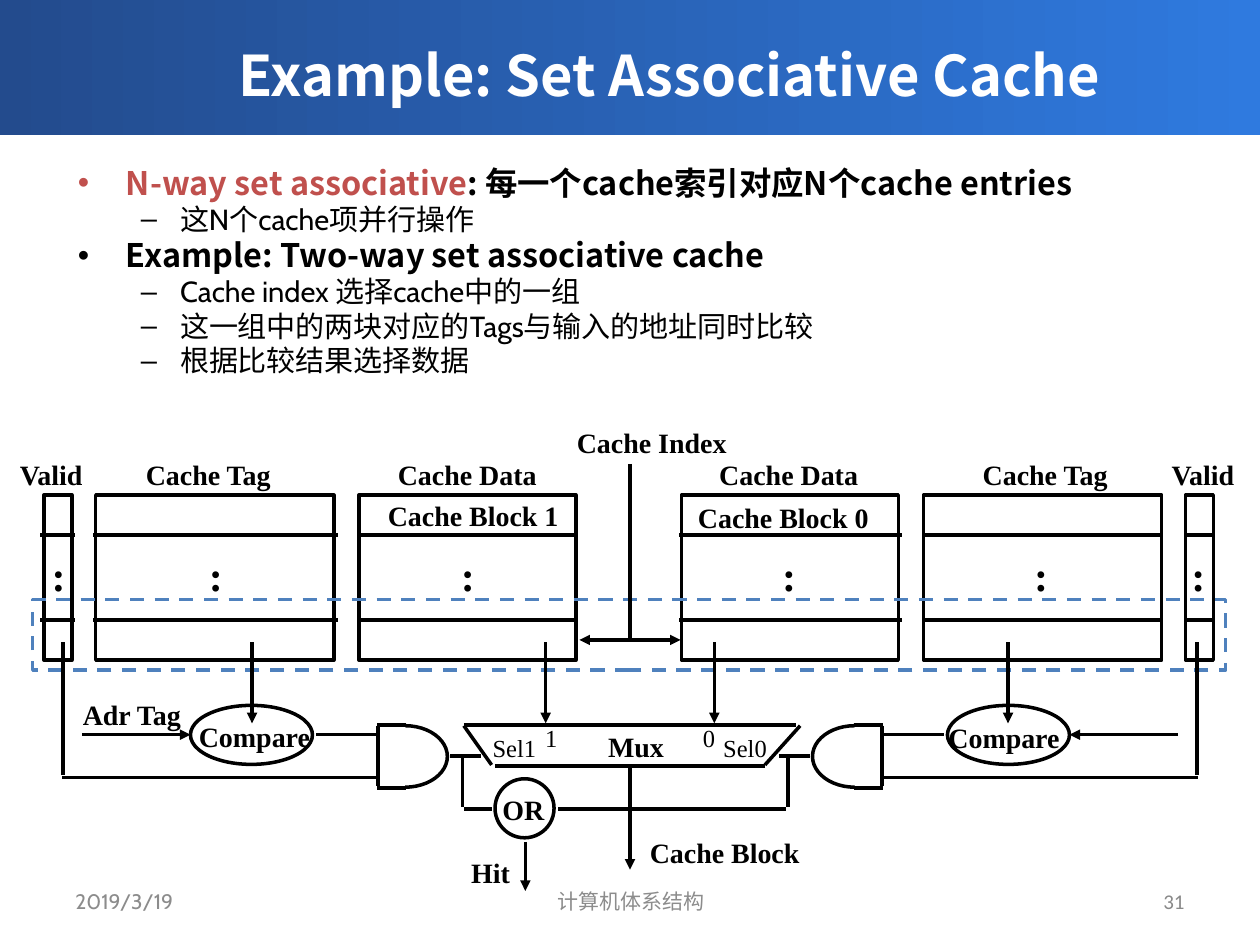
from lxml.etree import SubElement
from pptx import Presentation
from pptx.dml.color import RGBColor
from pptx.enum.dml import MSO_LINE
from pptx.enum.shapes import MSO_CONNECTOR, MSO_SHAPE
from pptx.enum.text import MSO_ANCHOR, MSO_AUTO_SIZE, PP_ALIGN
from pptx.oxml.ns import qn
from pptx.util import Cm, Pt

BLACK = "000000"
SERIF = "Times New Roman"
SANS = "Noto Sans CJK SC"
PAGE_WIDTH = 10
ROW_TOP, ROW_HEIGHT = 3.93, 1.31
ROW_RULES = (4.25, 4.92)

BANKS = [
    ("Valid", 0.06, 0.7, 0.35, 0.22, 0.32, 0.6, 0.31),
    ("Cache Tag", 1.06, 1.2, 0.76, 1.89, 0.74, 2.68, 1.56),
    ("Cache Data", 3.06, 1.31, 2.85, 1.72, 2.85, 4.57, 3.56),
    ("Cache Data", 5.61, 1.31, 5.41, 1.72, 5.39, 7.16, 6.11),
    ("Cache Tag", 7.7, 1.2, 7.33, 1.89, 7.33, 9.22, 8.11),
    ("Valid", 9.2, 0.7, 9.41, 0.22, 9.41, 9.64, 9.36),
]
CAPTIONS = [
    ("Cache Block 1", 2.98, 3.91, 1.57),
    ("Cache Block 0", 5.44, 3.92, 1.57),
    ("Cache Index", 4.48, 3.33, 1.4),
    ("Mux", 4.73, 5.74, 0.65),
    ("Cache Block", 5.06, 6.58, 1.4),
    ("Compare", 1.48, 5.66, 1.09),
    ("Compare", 7.43, 5.67, 1.09),
    ("Adr Tag", 0.56, 5.49, 0.99),
    ("OR", 3.89, 6.24, 0.54),
    ("Hit", 3.64, 6.74, 0.51),
]
PORTS = [("0", 5.48, 5.69, 0.3), ("1", 4.23, 5.69, 0.3),
         ("Sel1", 3.81, 5.77, 0.55), ("Sel0", 5.64, 5.77, 0.55)]
SIDE_WIRES = [
    (3.22, 5.75, 2.99, 5.75), (3, 5.76, 3, 6.24), (3.22, 6.25, 2.99, 6.25),
    (3.57, 6, 3.82, 6), (3, 5.83, 2.51, 5.83), (3, 6.17, 0.49, 6.17),
    (0.5, 5.1, 0.5, 6.15),
]
SIDE_ARROWS = [(2, 5.1, 2, 5.74), (4.33, 5.1, 4.33, 5.74),
               (0.65, 5.83, 1.51, 5.83)]
CENTRE_WIRES = [
    (5, 3.68, 5, 5.07), (3.68, 5.75, 6.32, 5.75), (3.68, 5.76, 3.9, 6.07),
    (3.93, 6.08, 6.07, 6.08), (6.35, 5.76, 6.07, 6.07),
    (3.67, 6.01, 3.67, 6.4), (3.68, 6.42, 3.9, 6.42),
    (6.25, 6.01, 6.25, 6.4), (4.43, 6.42, 6.24, 6.42),
]
CENTRE_ARROWS = [(5, 6.1, 5, 6.9), (4.17, 6.68, 4.17, 7.07)]
BULLETS = [
    (0, [("N-way set associative", "C0504D"),
         (": 每一个cache索引对应N个cache entries", BLACK)]),
    (1, [("这N个cache项并行操作", BLACK)]),
    (0, [("Example: Two-way set associative cache", BLACK)]),
    (1, [("Cache index 选择cache中的一组", BLACK)]),
    (1, [("这一组中的两块对应的Tags与输入的地址同时比较", BLACK)]),
    (1, [("根据比较结果选择数据", BLACK)]),
]
LEVELS = [("•", 0.38, 0.38, 18.5, SANS, True, 3),
          ("–", 0.81, 0.31, 16.6, "Cabin", False, 2.7)]


def color(value):
    return RGBColor.from_string(value)


def length(inches):
    return Cm(round(inches * 2.54, 2))


def lengths(*values):
    return [length(value) for value in values]


def add_span(para, text, size, font, tint=BLACK, bold=False):
    span = para.add_run()
    span.text = text
    span.font.size = Pt(size)
    span.font.name = font
    span.font.bold = bold
    span.font.color.rgb = color(tint)
    east_asian = SubElement(span.font._element, qn("a:ea"))
    east_asian.set("typeface", SANS)


def add_label(page, text, left, top, width, height=0.37, size=16, bold=True):
    box = page.shapes.add_textbox(*lengths(left, top, width, height))
    box.text_frame.word_wrap = False
    box.text_frame.auto_size = MSO_AUTO_SIZE.SHAPE_TO_FIT_TEXT
    add_span(box.text_frame.paragraphs[0], text, size, SERIF, bold=bold)


def add_outline(page, kind, left, top, width, height, tint=BLACK):
    shape = page.shapes.add_shape(kind, *lengths(left, top, width, height))
    shape.shadow.inherit = False
    shape.fill.background()
    shape.line.color.rgb = color(tint)
    shape.line.width = Pt(2)
    return shape


def add_wire(page, ends, heads=()):
    wire = page.shapes.add_connector(MSO_CONNECTOR.STRAIGHT, *lengths(*ends))
    wire.line.color.rgb = color(BLACK)
    wire.line.width = Pt(2)
    for head in heads:
        SubElement(wire.line._get_or_add_ln(), qn(head)).set("type", "triangle")
    SubElement(wire.element.spPr, qn("a:effectLst"))


def add_title(page):
    title = page.shapes.title
    title.left, title.top, title.width, title.height = lengths(1.13, 0.16, 8.37, 0.86)
    title.text_frame.vertical_anchor = MSO_ANCHOR.MIDDLE
    para = title.text_frame.paragraphs[0]
    para.alignment = PP_ALIGN.CENTER
    add_span(para, "Example: Set Associative Cache", 32, SANS, "FFFFFF", True)
    banner = page.shapes.add_shape(MSO_SHAPE.RECTANGLE, *lengths(0, 0, PAGE_WIDTH, 1.07))
    banner.shadow.inherit = False
    banner.line.fill.background()
    banner.fill.gradient()
    banner.fill.gradient_angle = 0
    for stop, tint in zip(banner.fill.gradient_stops, ("234B8D", "2F7ADF")):
        stop.color.rgb = color(tint)
    title.element.addprevious(banner.element)


def add_bullets(page):
    box = page.shapes.add_textbox(*lengths(0.52, 1.29, 9, 2.03))
    frame = box.text_frame
    frame.word_wrap = True
    for index, (level, spans) in enumerate(BULLETS):
        mark, margin, hang, size, font, bold, gap = LEVELS[level]
        para = frame.add_paragraph() if index else frame.paragraphs[0]
        para.level = level
        para.line_spacing = 0.85
        para.space_before = Pt(gap)
        properties = para._p.get_or_add_pPr()
        properties.set("marL", str(length(margin)))
        properties.set("indent", str(-length(hang)))
        SubElement(properties, qn("a:buFont")).set("typeface", "Arial")
        SubElement(properties, qn("a:buChar")).set("char", mark)
        for text, tint in spans:
            add_span(para, text, size, font, tint, bold)


def add_footer(page, text, left, width, align, font="Cabin", tint="8C8C8C"):
    box = page.shapes.add_textbox(*lengths(left, 6.95, width, 0.4))
    box.text_frame.word_wrap = True
    box.text_frame.vertical_anchor = MSO_ANCHOR.MIDDLE
    para = box.text_frame.paragraphs[0]
    para.alignment = align
    add_span(para, text, 12, font, tint)


def add_bank(page, name, name_left, name_width, left, width, start, end, dots_left):
    add_outline(page, MSO_SHAPE.RECTANGLE, left, ROW_TOP, width, ROW_HEIGHT)
    for y in ROW_RULES:
        add_wire(page, (start, y, end, y))
    add_label(page, name, name_left, 3.58, name_width)
    add_label(page, ":", dots_left, 4.31, 0.31, 0.5, 24)


def add_side(page, mirrored):
    def place(x):
        return PAGE_WIDTH - x if mirrored else x

    for wires, heads in ((SIDE_WIRES, ()), (SIDE_ARROWS, ("a:tailEnd",))):
        for x1, y1, x2, y2 in wires:
            add_wire(page, (place(x1), y1, place(x2), y2), heads)
    add_outline(page, MSO_SHAPE.OVAL, min(place(1.51), place(2.48)), 5.6, 0.97, 0.47)
    gate = add_outline(page, MSO_SHAPE.ARC, min(place(2.88), place(3.55)), 5.76, 0.67, 0.49)
    top, bottom = 162, 54
    gate.adjustments[0] = bottom if mirrored else top
    gate.adjustments[1] = top if mirrored else bottom


def main():
    deck = Presentation()
    deck.slide_width, deck.slide_height = lengths(PAGE_WIDTH, 7.5)
    page = deck.slides.add_slide(deck.slide_layouts[5])
    add_title(page)
    add_bullets(page)
    add_footer(page, "2019/3/19", 0.5, 2.33, PP_ALIGN.LEFT)
    add_footer(page, "计算机体系结构", 3.42, 3.17, PP_ALIGN.CENTER)
    add_footer(page, "31", 7.17, 2.33, PP_ALIGN.RIGHT, "Calibri", "898989")
    for bank in BANKS:
        add_bank(page, *bank)
    chosen_set = add_outline(page, MSO_SHAPE.RECTANGLE, 0.26, 4.76, 9.47, 0.56, "4F81BD")
    chosen_set.line.dash_style = MSO_LINE.DASH
    for mirrored in (False, True):
        add_side(page, mirrored)
    for ends in CENTRE_WIRES:
        add_wire(page, ends)
    for ends in CENTRE_ARROWS:
        add_wire(page, ends, ("a:tailEnd",))
    add_wire(page, (4.6, 5.08, 5.4, 5.08), ("a:headEnd", "a:tailEnd"))
    add_outline(page, MSO_SHAPE.OVAL, 3.93, 6.18, 0.47, 0.47)
    for caption in CAPTIONS:
        add_label(page, *caption)
    for port in PORTS:
        add_label(page, *port, height=0.33, size=14, bold=False)
    deck.save("out.pptx")


if __name__ == "__main__":
    main()
